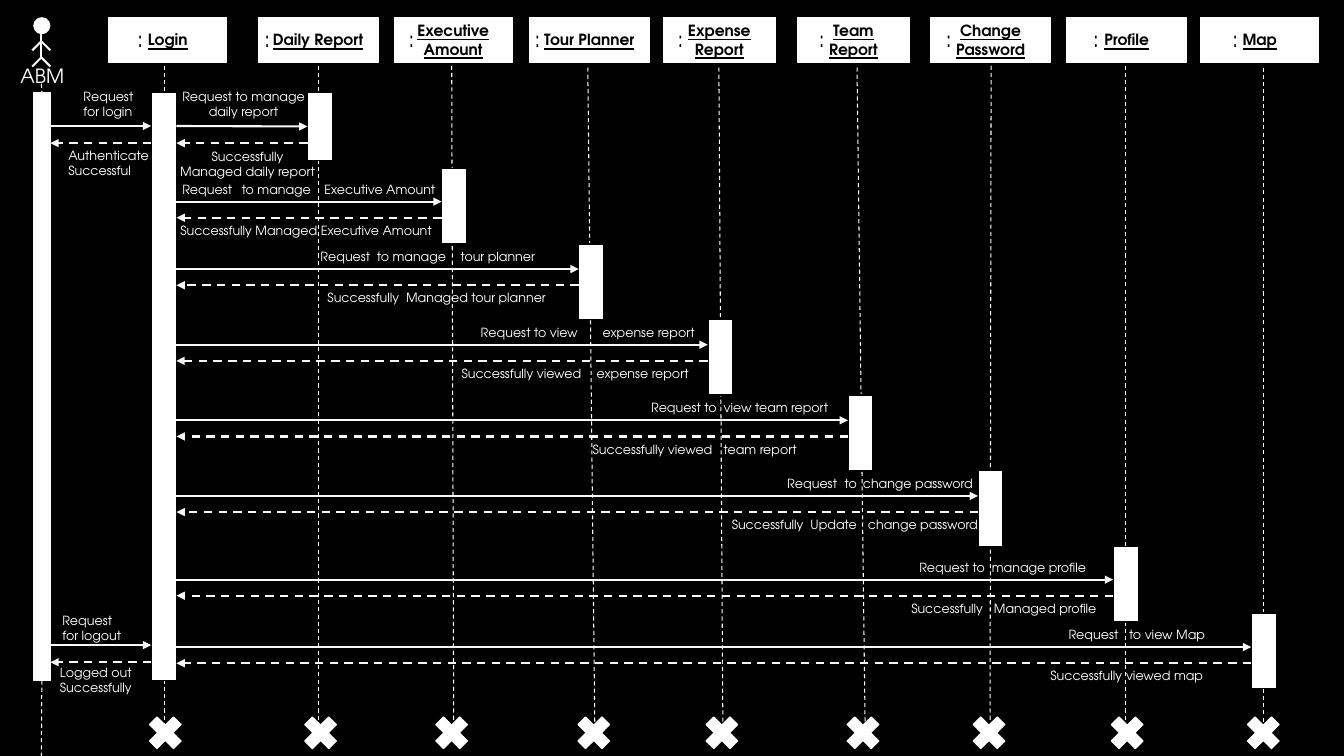
from dataclasses import dataclass
from lxml import etree
from pptx import Presentation
from pptx.dml.color import RGBColor
from pptx.enum.dml import MSO_LINE
from pptx.enum.shapes import MSO_CONNECTOR, MSO_SHAPE
from pptx.enum.text import MSO_ANCHOR, PP_ALIGN
from pptx.oxml.ns import qn
from pptx.util import Inches, Pt

RECT, OVAL, CROSS = MSO_SHAPE.RECTANGLE, MSO_SHAPE.OVAL, MSO_SHAPE.MATH_MULTIPLY
LEFT, CENTER = PP_ALIGN.LEFT, PP_ALIGN.CENTER
STRAIGHT, DASH, MIDDLE = MSO_CONNECTOR.STRAIGHT, MSO_LINE.DASH, MSO_ANCHOR.MIDDLE
TOP_SIDE, LEFT_SIDE, BOTTOM_SIDE = 0, 1, 2


@dataclass(frozen=True)
class Theme:
    font: str = "TeX Gyre Adventor"
    black: RGBColor = RGBColor(0x00, 0x00, 0x00)
    white: RGBColor = RGBColor(0xFF, 0xFF, 0xFF)
    arrow: RGBColor = RGBColor(0xF8, 0xF8, 0xF8)
    message: int = 9
    header: int = 11
    actor: int = 14
    colon: int = 16


theme = Theme()
prs = Presentation()
prs.slide_width, prs.slide_height = Inches(13.33), Inches(7.5)
slide = prs.slides.add_slide(prs.slide_layouts[6])
slide.background.fill.solid()
slide.background.fill.fore_color.rgb = theme.black


def place(kind, x, y, w, h, text="", size=theme.message, color=theme.white, align=LEFT,
          strong=False, inset=0.1, stops=(), outline=None, weight=0.75):
    """Add a white shape, or a text box when kind is None, with its text."""
    area = [Inches(v) for v in (x, y, w, h)]
    if kind is None:
        shape = slide.shapes.add_textbox(*area)
    else:
        shape = slide.shapes.add_shape(kind, *area)
        shape.shadow.inherit = False
        shape.fill.solid()
        shape.fill.fore_color.rgb = theme.white
        shape.line.color.rgb = outline or theme.white
        shape.line.width = Pt(weight)
    if not text:
        return shape
    frame = shape.text_frame
    frame.word_wrap = True
    frame.vertical_anchor = MIDDLE
    frame.margin_left = frame.margin_right = Inches(inset)
    frame.text = text
    for paragraph in frame.paragraphs:
        paragraph.alignment = align
        if stops:
            tabs = etree.SubElement(paragraph._p.get_or_add_pPr(), qn("a:tabLst"))
            for stop in stops:
                etree.SubElement(tabs, qn("a:tab"), pos=str(Inches(stop)), algn="l")
        for run in paragraph.runs:
            run.font.name, run.font.size = theme.font, Pt(size)
            run.font.color.rgb = color
            if strong:
                run.font.bold = run.font.underline = True
    return shape


def connect(x1, y1, x2, y2, color=theme.arrow, weight=1.5, dashed=False, arrow=False):
    line = slide.shapes.add_connector(STRAIGHT, *[Inches(v) for v in (x1, y1, x2, y2)])
    line.line.color.rgb = color
    line.line.width = Pt(weight)
    if dashed:
        line.line.dash_style = DASH
    if arrow:
        etree.SubElement(line.line._get_or_add_ln(), qn("a:tailEnd"), type="triangle")
    etree.SubElement(line._element.spPr, qn("a:effectLst"))
    return line


# name, header left and width, colon centre, lifeline (x, y, x, y), cross left
participants = [
    ("Login", 1.08, 1.17, 1.39, (1.63, 0.58, 1.63, 7.33), 1.41),
    ("Daily Report", 2.56, 1.19, 2.65, (3.16, 0.58, 3.16, 7.25), 2.95),
    ("Executive Amount", 3.91, 1.17, 4.08, (4.48, 0.58, 4.5, 7.25), 4.25),
    ("Tour Planner", 5.25, 1.19, 5.33, (5.83, 0.67, 5.9, 7.27), 5.66),
    ("Expense Report", 6.58, 1.11, 6.75, (7.13, 0.67, 7.17, 7.25), 6.93),
    ("Team Report", 7.91, 1.11, 8.15, (8.5, 0.67, 8.58, 7.17), 8.33),
    ("Change Password", 9.23, 1.19, 9.41, (9.83, 0.58, 9.82, 7.17), 9.58),
    ("Profile", 10.58, 1.19, 10.87, (11.16, 0.58, 11.16, 7.17), 10.95),
    ("Map", 11.91, 1.17, 12.25, (12.53, 0.67, 12.53, 7.25), 12.3),
]
for name, left, width, colon_x, lifeline, cross_left in participants:
    connect(*lifeline, color=theme.white, weight=0.75, dashed=True)
    place(RECT, left, 0.17, width, 0.45, name, theme.header, theme.black, CENTER, strong=True)
    place(None, colon_x - 0.04, 0.2, 0.08, 0.37, ":", theme.colon, theme.black, CENTER, inset=0)
    place(CROSS, cross_left, 7.04, 0.46, 0.46)

# The actor and its activation
place(OVAL, 0.33, 0.17, 0.17, 0.17).line.fill.background()
connect(0.41, 0.33, 0.41, 0.58, theme.white)
for joint_y in (0.41, 0.57):
    for limb_x in (0.32, 0.5):
        connect(0.41, joint_y, limb_x, joint_y + 0.09)
place(None, 0.03, 0.58, 0.78, 0.34, "ABM", theme.actor, align=CENTER)
actor_bar = place(RECT, 0.33, 0.92, 0.17, 5.83, weight=1)
actor_line = dict(color=theme.white, weight=0.75, dashed=True)
connect(0.41, 0.83, 0.41, 0.92, **actor_line).end_connect(actor_bar, TOP_SIDE)
connect(0.41, 6.75, 0.41, 7.5, **actor_line).begin_connect(actor_bar, BOTTOM_SIDE)
place(RECT, 1.5, 0.92, 0.25, 5.83, outline=theme.black, weight=1)

# Login and logout
for y in (1.25, 6.4):
    connect(0.5, y, 1.5, y, arrow=True)
    connect(1.5, y + 0.17, 0.5, y + 0.17, dashed=True, arrow=True)

# Daily report
daily_bar = place(RECT, 3.05, 0.92, 0.25, 0.67, outline=theme.black, weight=1)
connect(1.75, 1.25, 3.05, 1.25, arrow=True).end_connect(daily_bar, LEFT_SIDE)
connect(3.05, 1.42, 1.75, 1.42, dashed=True, arrow=True)

for text, x, y, w, align in [
    ("Request for login", 0.73, 0.83, 0.76, LEFT),
    ("Authenticate\nSuccessful", 0.58, 1.42, 1.1, LEFT),
    ("Request to manage daily report", 1.58, 0.83, 1.67, CENTER),
    ("Successfully\nManaged daily report", 1.58, 1.43, 1.75, CENTER),
    ("Request for logout", 0.52, 6.03, 0.83, LEFT),
    ("Logged out\nSuccessfully", 0.45, 6.55, 1, CENTER),
]:
    place(None, x, y, w, 0.4, text, align=align)

# bar left and top, request y, then each message as (x, words) parts
exchanges = [
    (4.38, 1.67, 2,
     [(1.81, "Request"), (2.4, "to manage"), (3.22, "Executive Amount")],
     [(1.79, "Successfully Managed Executive Amount")]),
    (5.74, 2.42, 2.67,
     [(3.18, "Request"), (3.74, "to manage"), (4.57, "tour planner")],
     [(3.25, "Successfully"), (4.03, "Managed tour planner")]),
    (7.02, 3.17, 3.42,
     [(4.77, "Request to view"), (5.98, "expense report")],
     [(4.58, "Successfully viewed"), (5.92, "expense report")]),
    (8.41, 3.92, 4.17,
     [(6.46, "Request to"), (7.18, "view team report")],
     [(5.88, "Successfully viewed"), (7.18, "team report")]),
    (9.7, 4.67, 4.92,
     [(7.81, "Request"), (8.38, "to"), (8.56, "change password")],
     [(7.26, "Successfully"), (8.04, "Update"), (8.61, "change password")]),
    (11.04, 5.42, 5.75,
     [(9.12, "Request to"), (9.84, "manage profile")],
     [(9.04, "Successfully"), (9.86, "Managed profile")]),
    (12.41, 6.08, 6.42,
     [(10.6, "Request"), (11.2, "to view Map")],
     [(10.42, "Successfully"), (11.17, "viewed map")]),
]
for bar_left, bar_top, y, request, reply in exchanges:
    reply_y = y + 0.16
    place(RECT, bar_left, bar_top, 0.25, 0.75, outline=theme.black, weight=1)
    connect(1.75, y, bar_left, y, arrow=True)
    connect(bar_left, reply_y, 1.75, reply_y, dashed=True, arrow=True)
    for parts, top in ((request, y - 0.25), (reply, reply_y)):
        start = parts[0][0]
        place(None, start - 0.1, top, 2.9, 0.25, "\t".join(words for _, words in parts),
              stops=[x - start for x, _ in parts[1:]])

prs.save("out.pptx")
